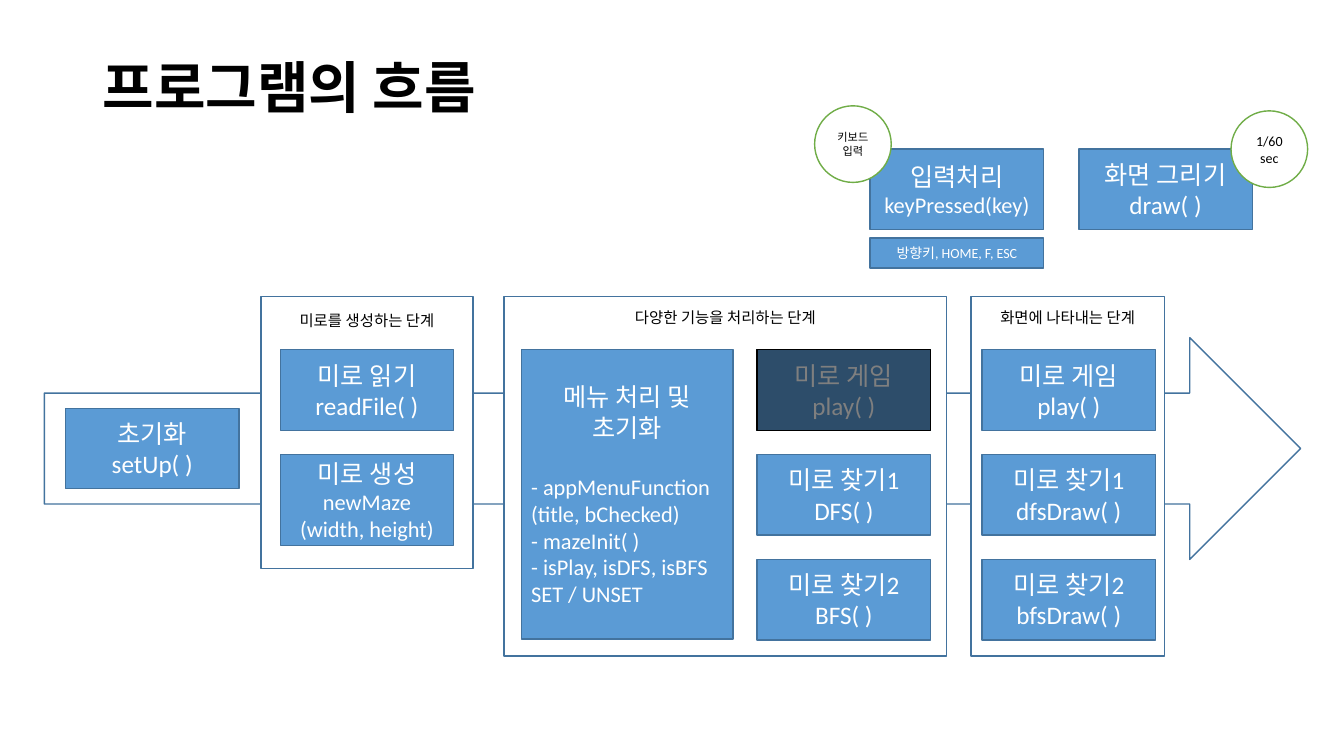
from pptx import Presentation, oxml, util as u
from pptx.dml import color
from pptx.enum import shapes, text
from pptx.oxml import ns

COLORS = {
    "box": "5B9BD5", "border": "43739E", "circle": "70AD47",
    "paper": "FFFFFF", "ink": "000000",
}
LATIN, KOREAN = "Calibri", "Noto Sans CJK KR"
CELL = 0.1
BOX_WIDTH, BOX_HEIGHT = 17.2, 8
STAGE_TOP, STAGE_STEP = 34.7, 10.4
CENTER, LEFT = text.PP_ALIGN.CENTER, text.PP_ALIGN.LEFT


class FlowSlide:
    def __init__(self, presentation):
        self.slide = presentation.slides.add_slide(presentation.slide_layouts[6])

    def place(self, *cells):
        return [u.Inches(cell * CELL) for cell in cells]

    def rgb(self, name):
        return color.RGBColor.from_string(COLORS[name])

    def outline(self, kind, cells, fill, line):
        shape = self.slide.shapes.add_shape(kind, *self.place(*cells))
        shape.shadow.inherit = False
        if fill:
            shape.fill.solid()
            shape.fill.fore_color.rgb = self.rgb(fill)
        else:
            shape.fill.background()
        shape.line.color.rgb = self.rgb(line)
        shape.line.width = u.Pt(1)
        return shape

    def label(self, shape, lines, sizes, ink, align=CENTER, font=LATIN, bold=False):
        frame = shape.text_frame
        frame.word_wrap = True
        frame.vertical_anchor = text.MSO_ANCHOR.MIDDLE
        frame.text = "\n".join(lines)
        for paragraph, size in zip(frame.paragraphs, sizes):
            paragraph.alignment = align
            for run in paragraph.runs:
                run.font.size = u.Pt(size)
                run.font.name = font
                run.font.bold = bold
                run.font.color.rgb = self.rgb(ink)
                east_asian = oxml.parse_xml(
                    f'<a:ea {ns.nsdecls("a")} typeface="{KOREAN}"/>')
                run.font._element.find(ns.qn("a:latin")).addnext(east_asian)
        return frame

    def title(self, wording):
        shape = self.slide.shapes.add_textbox(*self.place(9.2, 4, 115, 9.9))
        frame = self.label(shape, [wording], [40], "ink", LEFT, KOREAN, True)
        frame.paragraphs[0].line_spacing = 0.9

    def arrow(self, *cells):
        self.outline(shapes.MSO_SHAPE.RIGHT_ARROW, cells, None, "border")

    def panel(self, heading, left, width, height, inset):
        cells = (left, 29.4, width, height)
        shape = self.outline(shapes.MSO_SHAPE.RECTANGLE, cells, "paper", "border")
        frame = self.label(shape, [heading], [11], "ink")
        frame.vertical_anchor = text.MSO_ANCHOR.TOP
        frame.margin_top = u.Inches(inset * CELL)

    def box(self, lines, left, top, sizes=(18, 18), width=BOX_WIDTH, height=BOX_HEIGHT):
        cells = (left, top, width, height)
        shape = self.outline(shapes.MSO_SHAPE.RECTANGLE, cells, "box", "border")
        return self.label(shape, lines, sizes, "paper")

    def menu(self, heading, items, left, top, width, height):
        sizes = [18] * len(heading) + [16] * len(items)
        frame = self.box(heading + items, left, top, sizes, width, height)
        entries = frame.paragraphs[len(heading):]
        for paragraph in entries:
            paragraph.alignment = LEFT
        entries[0].space_before = u.Pt(22)

    def veil(self, left, top):
        cells = (left, top, BOX_WIDTH, BOX_HEIGHT)
        shape = self.outline(shapes.MSO_SHAPE.RECTANGLE, cells, "ink", "ink")
        fill = shape._element.spPr.find(ns.qn("a:solidFill"))
        fill[0].append(oxml.parse_xml(f'<a:alpha {ns.nsdecls("a")} val="50000"/>'))

    def circle(self, lines, left, top, size):
        cells = (left, top, 7.6, 7.6)
        shape = self.outline(shapes.MSO_SHAPE.OVAL, cells, "paper", "circle")
        self.label(shape, lines, [size] * len(lines), "ink")


presentation = Presentation()
presentation.slide_width, presentation.slide_height = u.Inches(13.33), u.Inches(7.5)
flow = FlowSlide(presentation)

flow.arrow(4.4, 33.5, 124.6, 22)
for panel in (
    ("화면에 나타내는 단계", 96.3, 19.2, 35.7, 1.2),
    ("다양한 기능을 처리하는 단계", 50, 43.9, 35.7, 1.2),
    ("미로를 생성하는 단계", 25.9, 21, 27, 1.5),
):
    flow.panel(*panel)
flow.title("프로그램의 흐름")

flow.box(["초기화", "setUp( )"], 6.5, 40.5)
flow.box(["미로 읽기", "readFile( )"], 27.8, STAGE_TOP)
flow.box(["미로 생성", "newMaze", "(width, height)"], 27.8, STAGE_TOP + STAGE_STEP,
         (18, 16, 16), height=9)
flow.menu(
    ["메뉴 처리 및", "초기화"],
    ["- appMenuFunction", "(title, bChecked)", "- mazeInit( )",
     "- isPlay, isDFS, isBFS SET / UNSET"],
    51.7, STAGE_TOP, 21, 28.7)

stage_names = ("미로 게임", "미로 찾기1", "미로 찾기2")
stage_columns = (
    (75.1, ("play( )", "DFS( )", "BFS( )")),
    (97.4, ("play( )", "dfsDraw( )", "bfsDraw( )")),
)
for left, functions in stage_columns:
    for row, lines in enumerate(zip(stage_names, functions)):
        flow.box(lines, left, STAGE_TOP + row * STAGE_STEP)
flow.veil(stage_columns[0][0], STAGE_TOP)

flow.box(["화면 그리기", "draw( )"], 107, 14.8)
flow.box(["입력처리", "keyPressed(key)"], 86.3, 14.8, (18, 16))
flow.box(["방향키, HOME, F, ESC"], 86.3, 23.6, (10,), height=3)
flow.circle(["1/60 sec"], 122.1, 11, 10)
flow.circle(["키보드", "입력"], 80.8, 10.5, 8)

presentation.save("out.pptx")
